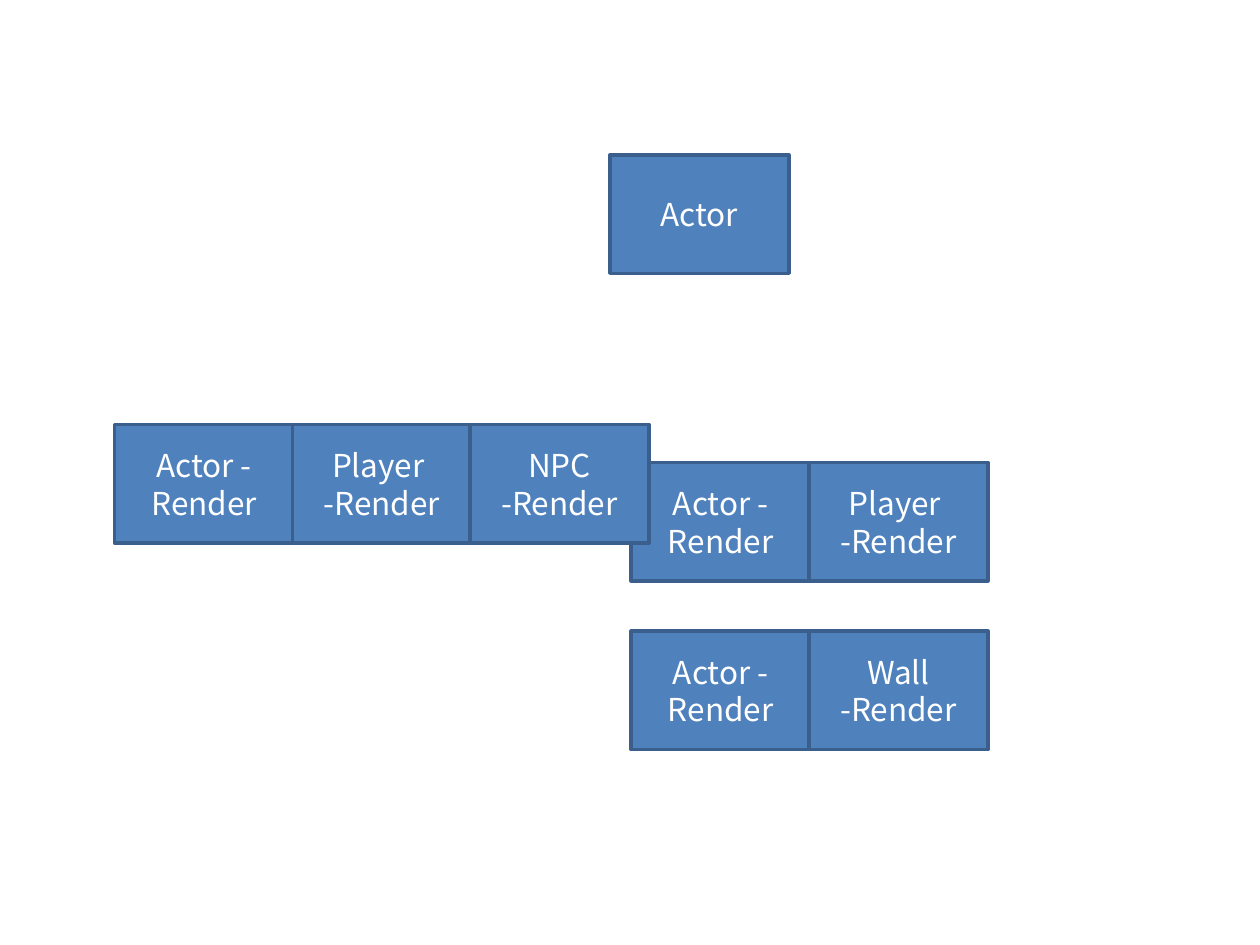
from dataclasses import dataclass

from pptx import Presentation
from pptx.dml.color import RGBColor
from pptx.enum.shapes import MSO_SHAPE
from pptx.enum.text import MSO_ANCHOR, PP_ALIGN
from pptx.util import Inches, Pt

COLORS = {"fill": "4F81BD", "line": "3A5F8C", "text": "FFFFFF"}
FONT = {"name": "Noto Sans CJK KR", "size": Pt(18)}
FRAME = {"word_wrap": True, "vertical_anchor": MSO_ANCHOR.MIDDLE}
BOX_W, BOX_H = 1.42, 0.94
STEP = 1.41  # neighbouring boxes share a border


@dataclass
class BoxRow:
    left: float
    top: float
    labels: tuple[str, ...]


# Rows from back to front
ROWS = [
    BoxRow(4.84, 1.23, ("Actor",)),
    BoxRow(5.01, 3.67, ("Actor - Render", "Player  -Render")),
    BoxRow(5.01, 5.01, ("Actor - Render", "Wall -Render")),
    BoxRow(0.91, 3.37, ("Actor - Render", "Player  -Render", "NPC -Render")),
]


def color(key: str) -> RGBColor:
    return RGBColor.from_string(COLORS[key])


def set_attrs(target: object, values: dict) -> None:
    for name, value in values.items():
        setattr(target, name, value)


def draw_box(s, left: float, top: float, label: str) -> None:
    sp = s.shapes.add_shape(MSO_SHAPE.RECTANGLE, Inches(left), Inches(top),
                            Inches(BOX_W), Inches(BOX_H))
    sp.shadow.inherit = False
    sp.fill.solid()
    sp.fill.fore_color.rgb = color("fill")
    sp.line.color.rgb = color("line")
    sp.line.width = Pt(2)

    # Centred label
    tf = sp.text_frame
    set_attrs(tf, FRAME)
    p = tf.paragraphs[0]
    p.alignment = PP_ALIGN.CENTER
    r = p.add_run()
    r.text = label
    set_attrs(r.font, FONT)
    r.font.color.rgb = color("text")


def draw_row(s, row: BoxRow) -> None:
    for i, label in enumerate(row.labels):
        draw_box(s, row.left + i * STEP, row.top, label)


def main() -> None:
    prs = Presentation()
    prs.slide_width, prs.slide_height = Inches(10), Inches(7.5)
    s = prs.slides.add_slide(prs.slide_layouts[6])
    for row in ROWS:
        draw_row(s, row)
    prs.save("out.pptx")


if __name__ == "__main__":
    main()
